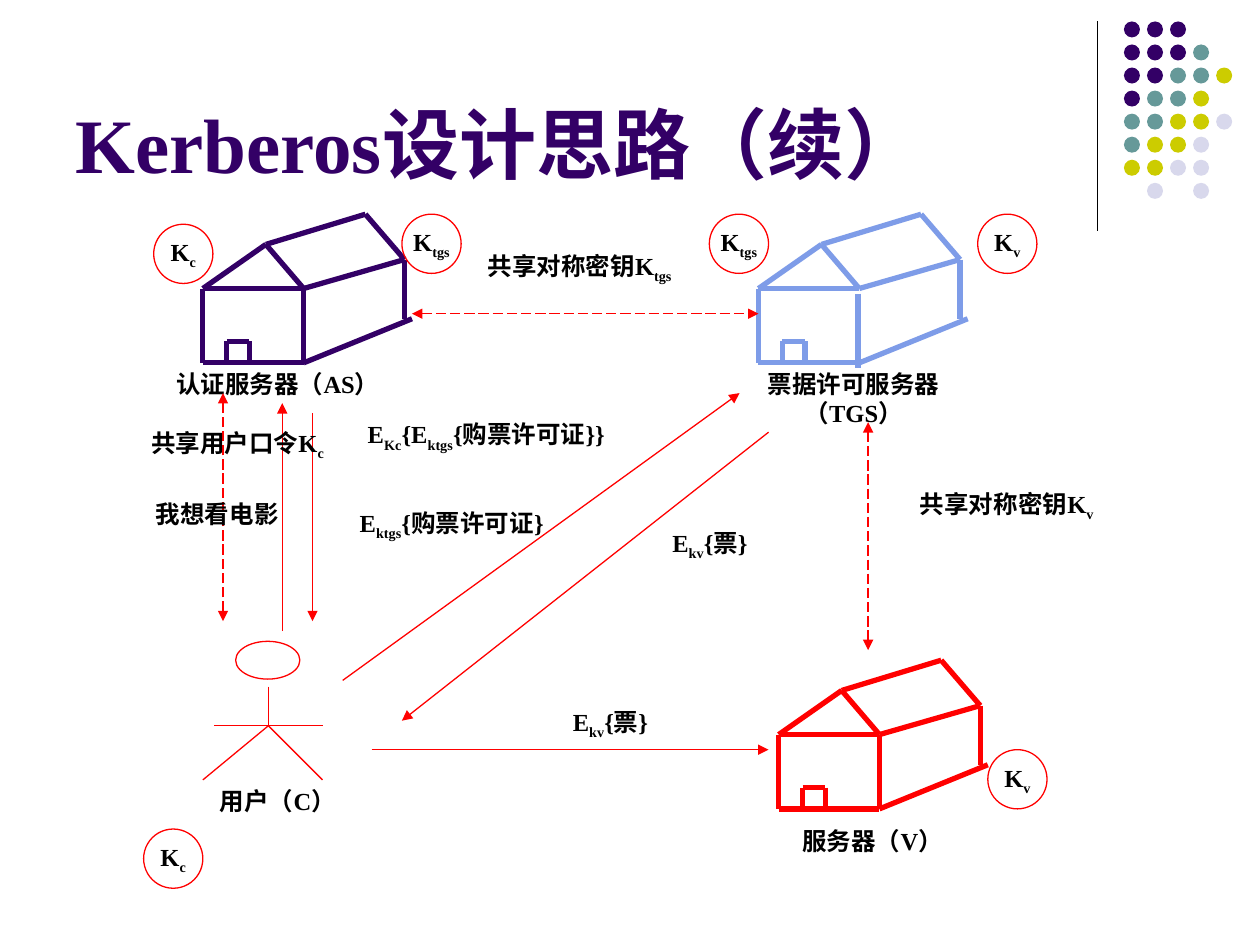
from pptx import Presentation, util as u
from pptx.dml.color import RGBColor
from pptx.enum import dml, shapes, text
from pptx.oxml.ns import qn
from lxml import etree

COLORS = {
    "purple": "330066", "teal": "669999", "lime": "CCCC00", "lilac": "D8D8EC",
    "blue": "7E9CE8", "red": "FF0000", "black": "000000",
}
FONT = "Times New Roman"
COLUMNS, ROWS = 100, 75

# House corners, in grid units from the left wall and the ridge
APEX, RIDGE = (5, 2.4), (12.9, 0)
EAVE_LEFT, EAVE_RIGHT, EAVE_BACK = (0, 5.9), (8, 5.9), (16, 3.6)
BASE_LEFT, BASE_RIGHT, BASE_BACK = (0, 11.8), (8, 11.8), (16.6, 8.3)
WALL_BACK = (16, 8.3)
DOOR = [(1.9, 11.8), (1.9, 10.1), (3.7, 10.1), (3.7, 11.8)]
HOUSE_EDGES = [
    (APEX, EAVE_LEFT), (APEX, EAVE_RIGHT), (EAVE_LEFT, EAVE_RIGHT),
    (APEX, RIDGE), (RIDGE, EAVE_BACK), (EAVE_RIGHT, EAVE_BACK),
    (EAVE_LEFT, BASE_LEFT), (BASE_LEFT, BASE_RIGHT),
    (BASE_RIGHT, BASE_BACK), (EAVE_BACK, WALL_BACK), *zip(DOOR, DOOR[1:]),
]

DOT_COLORS = {"p": "purple", "t": "teal", "y": "lime", "l": "lilac"}
DOT_ROWS = ["ppp", "pppt", "pptty", "ptty", "ttyyl", "tyyl", "yyll", " l l"]


class Diagram:
    """Draws on one slide; all lengths are columns and rows of the grid."""

    def __init__(self, presentation):
        self.slide = presentation.slides.add_slide(presentation.slide_layouts[6])
        self.column = presentation.slide_width / COLUMNS
        self.row = presentation.slide_height / ROWS

    def place(self, x, y):
        return u.Emu(round(x * self.column)), u.Emu(round(y * self.row))

    def color(self, name):
        return RGBColor.from_string(COLORS[name])

    def add_text(self, frame, content, size=14, color="black",
                 align=text.PP_ALIGN.CENTER):
        """Fill the frame; every second part between bars is a subscript."""
        paragraph = frame.paragraphs[0]
        paragraph.alignment = align
        for index, part in enumerate(content.split("|")):
            run = paragraph.add_run()
            run.text = part
            run.font.name, run.font.size, run.font.bold = FONT, u.Pt(size), True
            run.font.color.rgb = self.color(color)
            if index % 2:
                run.font._element.set("baseline", "-25000")

    def label(self, x, y, width, content, height=3.3):
        box = self.slide.shapes.add_textbox(*self.place(x, y),
                                            *self.place(width, height))
        box.text_frame.word_wrap = True
        self.add_text(box.text_frame, content)

    def title(self, content):
        box = self.slide.shapes.add_textbox(*self.place(5, 1.3),
                                            *self.place(82.5, 14.2))
        box.text_frame.word_wrap = True
        box.text_frame.vertical_anchor = text.MSO_ANCHOR.BOTTOM
        self.add_text(box.text_frame, content, 44, "purple", text.PP_ALIGN.LEFT)

    def ellipse(self, x, y, width, height, fill=None):
        """Filled without outline, or outlined in red when fill is None."""
        shape = self.slide.shapes.add_shape(
            shapes.MSO_SHAPE.OVAL, *self.place(x, y), *self.place(width, height))
        shape.shadow.inherit = False
        if fill:
            shape.fill.solid()
            shape.fill.fore_color.rgb = self.color(fill)
            shape.line.fill.background()
        else:
            shape.fill.background()
            shape.line.color.rgb = self.color("red")
            shape.line.width = u.Pt(0.75)
        return shape

    def key(self, x, y, owner):
        frame = self.ellipse(x, y, 4.7, 4.7).text_frame
        frame.word_wrap = False
        frame.vertical_anchor = text.MSO_ANCHOR.MIDDLE
        self.add_text(frame, f"K|{owner}")

    def line(self, start, end, color="red", width=0.75):
        connector = self.slide.shapes.add_connector(
            shapes.MSO_CONNECTOR.STRAIGHT, *self.place(*start), *self.place(*end))
        connector.line.color.rgb = self.color(color)
        connector.line.width = u.Pt(width)
        etree.SubElement(connector._element.spPr, qn("a:effectLst"))
        return connector

    def arrow(self, start, end, shared=False):
        """A message arrow, or a dashed two-way arrow for a shared key."""
        line = self.line(start, end).line
        if shared:
            line.dash_style = dml.MSO_LINE.LONG_DASH
        for tag in ("a:headEnd", "a:tailEnd") if shared else ("a:tailEnd",):
            etree.SubElement(line._get_or_add_ln(), qn(tag), type="triangle")

    def house(self, x, y, color, corner_shift=(0, 0)):
        """corner_shift moves the upright line at the front right corner."""
        shift_x, shift_y = corner_shift
        corner = tuple((px + shift_x, py + shift_y)
                       for px, py in (EAVE_RIGHT, BASE_RIGHT))
        for (x1, y1), (x2, y2) in [*HOUSE_EDGES, corner]:
            self.line((x + x1, y + y1), (x + x2, y + y2), color, 3)

    def person(self, x, y):
        """A stick figure whose head has its top centre at x, y."""
        self.ellipse(x - 2.6, y, 5.1, 3)
        shoulder = (x, y + 6.7)
        self.line((x, y + 3.6), shoulder)
        self.line(shoulder, (x - 5.2, y + 11))
        self.line(shoulder, (x + 4.3, y + 11))
        self.line((x - 4.3, y + 6.7), (x + 4.3, y + 6.7))

    def dots(self, x, y, pitch=1.83, size=1.27):
        for row, codes in enumerate(DOT_ROWS):
            for column, code in enumerate(codes):
                if code in DOT_COLORS:
                    self.ellipse(x + column * pitch, y + row * pitch,
                                 size, size, DOT_COLORS[code])


def main():
    presentation = Presentation()
    presentation.slide_width, presentation.slide_height = u.Inches(10), u.Inches(7.5)
    diagram = Diagram(presentation)

    diagram.line((87.1, 1.7), (87.1, 18.3), "black")
    diagram.dots(89.2, 1.7)
    diagram.title("Kerberos设计思路（续）")

    diagram.house(60.2, 17, "blue", (-0.1, 0.4))
    diagram.label(57.9, 28.8, 19.7, "票据许可服务器（TGS）", 5.7)
    diagram.house(61.8, 52.4, "red")
    diagram.label(59.4, 65.1, 19.7, "服务器（V）")
    diagram.person(21.3, 50.9)
    diagram.house(16.1, 17, "purple")
    diagram.label(12.2, 28.8, 19.7, "认证服务器（AS）")
    diagram.label(12.2, 61.9, 19.7, "用户（C）")

    for start, end in [
        ((22.4, 50.1), (22.4, 32)), ((24.8, 32.8), (24.8, 49.3)),
        ((27.2, 54), (58.7, 31.2)), ((61, 34.3), (31.9, 57.2)),
        ((29.5, 59.5), (61, 59.5)),
    ]:
        diagram.arrow(start, end)
    for start, end in [
        ((32.7, 24.9), (60.2, 24.9)), ((68.9, 33.5), (68.9, 51.6)),
        ((17.7, 49.3), (17.7, 31.2)),
    ]:
        diagram.arrow(start, end, shared=True)

    for x, y, width, content in [
        (9, 39.1, 16.5, "我想看电影"),
        (25.6, 32.8, 26, "E|Kc|{E|ktgs|{购票许可证}}"),
        (25.6, 39.8, 20.5, "E|ktgs|{购票许可证}"),
        (46.1, 41.4, 20.5, "E|kv|{票}"),
        (38.2, 55.6, 20.5, "E|kv|{票}"),
        (35, 19.4, 22, "共享对称密钥K|tgs"),
        (68.9, 38.3, 22, "共享对称密钥K|v"),
        (10.6, 33.5, 16.5, "共享用户口令K|c"),
    ]:
        diagram.label(x, y, width, content)

    for x, y, owner in [
        (11.4, 65.8, "c"), (12.2, 17.8, "c"), (56.3, 17, "tgs"),
        (78.4, 59.5, "v"), (31.9, 17, "tgs"), (77.6, 17, "v"),
    ]:
        diagram.key(x, y, owner)

    presentation.save("out.pptx")


if __name__ == "__main__":
    main()
